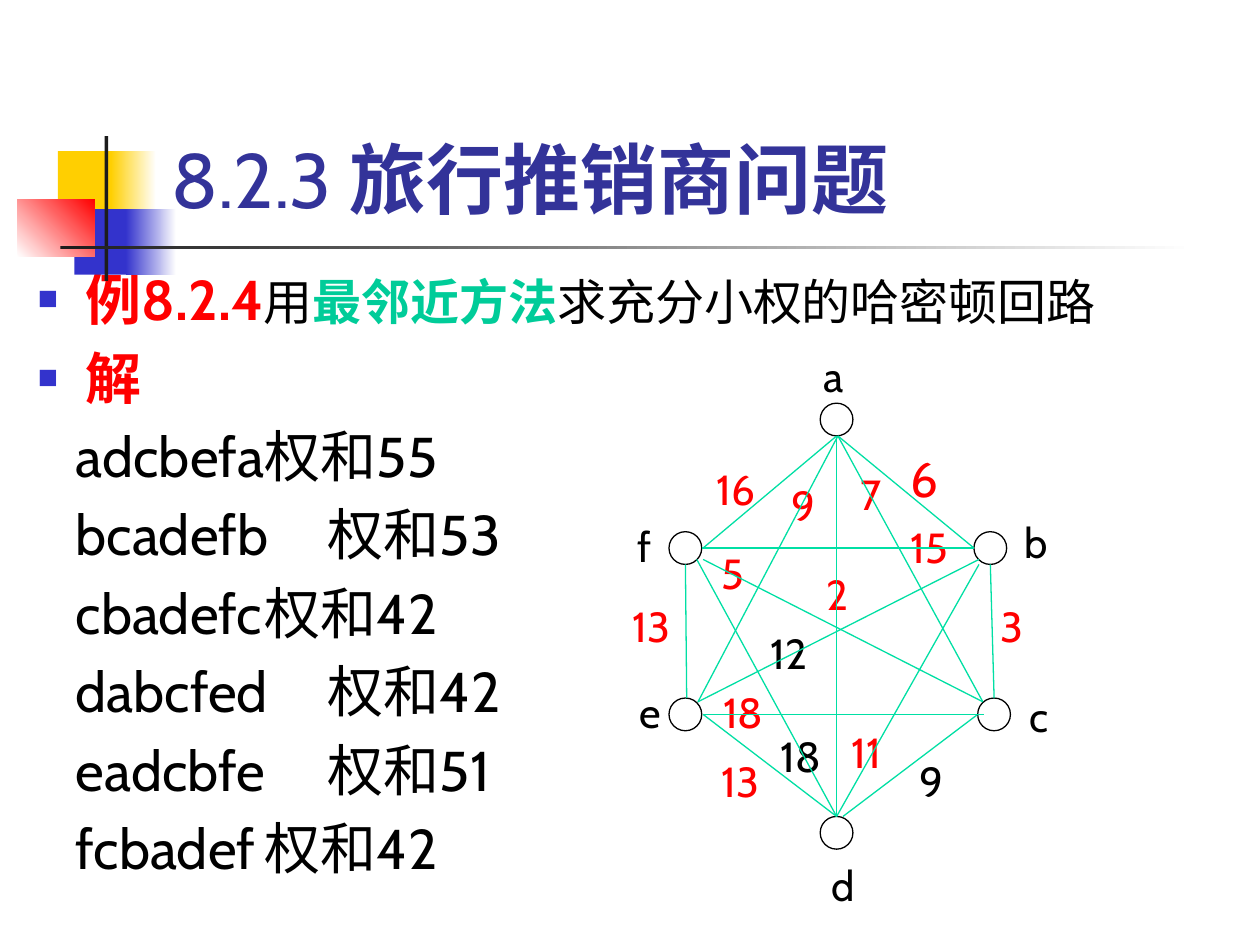
from lxml import etree
from pptx import Presentation
from pptx import util as u
from pptx.dml.color import RGBColor
from pptx.enum import shapes, text
from pptx.oxml import ns

Inches, Pt = u.Inches, u.Pt
FONT = "Cabin"
COLORS = {
    "yellow": "FFCF01", "blue": "3333CC", "red": "FF0000", "ink": "1C1C1C",
    "white": "FFFFFF", "black": "000000", "title": "333399",
    "green": "00CC99", "edge": "00DFA4",
}


def style(font, size, color, bold=False):
    font.name = FONT
    font.size = Pt(size)
    font.bold = bold
    font.color.rgb = RGBColor.from_string(COLORS[color])


def block(kind, left, top, width, height, fill, line=None):
    box = slide.shapes.add_shape(
        kind, Inches(left), Inches(top), Inches(width), Inches(height))
    box.shadow.inherit = False
    box.fill.solid()
    box.fill.fore_color.rgb = RGBColor.from_string(COLORS[fill])
    if line:
        box.line.color.rgb = RGBColor.from_string(COLORS[line])
        box.line.width = Pt(0.75)
    else:
        box.line.fill.background()
    return box


RECT, OVAL = shapes.MSO_SHAPE.RECTANGLE, shapes.MSO_SHAPE.OVAL
prs = Presentation()
prs.slide_width, prs.slide_height = Inches(10), Inches(7.5)
slide = prs.slides.add_slide(prs.slide_layouts[1])

ornaments = [
    (0.46, 1.2, 0.48, 0.52, "yellow", None, 0),
    (0.88, 1.2, 0.36, 0.52, "yellow", "white", 0),
    (0.59, 1.66, 0.46, 0.52, "blue", None, 0),
    (1, 1.66, 0.4, 0.52, "blue", "white", 0),
    (0.14, 1.58, 0.61, 0.46, "white", "red", 45),
    (0.83, 1.08, 0.03, 1.15, "ink", None, 0),
    (0.48, 1.95, 9, 0.03, "ink", "white", 0),
]
for left, top, width, height, start, end, angle in ornaments:
    ornament = block(RECT, left, top, width, height, start)
    if end:
        ornament.fill.gradient()
        ornament.fill.gradient_angle = angle
        for stop, color in zip(ornament.fill.gradient_stops, (start, end)):
            stop.color.rgb = RGBColor.from_string(COLORS[color])

title = slide.shapes.title
title.left, title.top, title.width, title.height = map(Inches, (1.26, 0.23, 8.52, 1.6))
title.text_frame.auto_size = text.MSO_AUTO_SIZE.NONE
title.text_frame.vertical_anchor = text.MSO_ANCHOR.BOTTOM
heading = title.text_frame.paragraphs[0]
heading.alignment = text.PP_ALIGN.LEFT
for words, bold in [("8.2.3 ", False), ("旅行推销商问题", True)]:
    run = heading.add_run()
    run.text = words
    style(run.font, 44, "title", bold)

solution = slide.placeholders[1]
solution.left, solution.top, solution.width, solution.height = map(
    Inches, (0.2, 2.05, 9.72, 5.48))
solution.text_frame.auto_size = text.MSO_AUTO_SIZE.NONE
steps = [
    [("例8.2.4", 32, "red", True), ("用", 28, "black", False),
     ("最邻近方法", 28, "green", True), ("求充分小权的哈密顿回路", 28, "black", False)],
    [("解", 32, "red", True)],
]
tours = {"adcbefa": 55, "bcadefb": 53, "cbadefc": 42,
         "dabcfed": 42, "eadcbfe": 51, "fcbadef": 42}
steps += [[(f"{tour}\t权和{total}", 32, "black", False)] for tour, total in tours.items()]
for i, step in enumerate(steps):
    line = solution.text_frame.paragraphs[0] if i == 0 else solution.text_frame.add_paragraph()
    line.space_before = Pt(6.4 if i else 0)
    props = line._p.get_or_add_pPr()
    if i < 2:
        props.set("marL", str(Inches(0.38)))
        props.set("indent", str(Inches(-0.38)))
        bullet_color = etree.SubElement(props, ns.qn("a:buClr"))
        etree.SubElement(bullet_color, ns.qn("a:srgbClr"), val=COLORS["blue"])
        etree.SubElement(props, ns.qn("a:buSzPct"), val="60000")
        etree.SubElement(props, ns.qn("a:buChar"), char="■")
    else:
        props.set("marL", str(Inches(0.3)))
        props.set("indent", "0")
        etree.SubElement(props, ns.qn("a:buNone"))
        tabs = etree.SubElement(props, ns.qn("a:tabLst"))
        etree.SubElement(tabs, ns.qn("a:tab"), pos=str(Inches(2.11)), algn="l")
    for words, size, color, bold in step:
        run = line.add_run()
        run.text = words
        style(run.font, size, color, bold)

weights = [
    ("13", 4.92, 4.72, 0.63, 0.44, "red"), ("13", 5.63, 5.95, 0.63, 0.44, "red"),
    ("3", 7.84, 4.72, 0.31, 0.44, "red"), ("9", 7.2, 5.95, 0.31, 0.44, "black"),
    ("11", 6.66, 5.72, 0.57, 0.44, "red"), ("18", 6.1, 5.75, 0.63, 0.44, "black"),
    ("12", 6.02, 4.93, 0.63, 0.44, "black"), ("18", 5.64, 5.4, 0.63, 0.44, "red"),
    ("15", 7.13, 4.09, 0.6, 0.44, "red"), ("5", 5.63, 4.3, 0.44, 0.47, "red"),
    ("6", 7.13, 3.51, 0.44, 0.47, "red"), ("2", 6.46, 4.46, 0.44, 0.47, "red"),
    ("16", 5.59, 3.63, 0.67, 0.51, "red"), ("9", 6.18, 3.76, 0.44, 0.47, "red"),
    ("7", 6.73, 3.67, 0.4, 0.43, "red"),
]
vertices = [(6.51, 3.2), (7.73, 4.22), (5.31, 4.22), (7.76, 5.54), (5.31, 5.54), (6.51, 6.48)]
edges = [
    (6.64, 3.46, 6.64, 6.48), (5.57, 4.35, 7.73, 4.35), (5.58, 5.67, 7.81, 5.67),
    (5.44, 4.48, 5.45, 5.54), (7.86, 4.48, 7.89, 5.54), (6.64, 3.46, 5.58, 4.35),
    (6.65, 3.46, 7.73, 4.35), (6.65, 3.46, 5.54, 5.57), (6.65, 3.46, 7.8, 5.57),
    (5.53, 4.44, 6.64, 6.48), (5.58, 4.44, 7.8, 5.57), (5.54, 5.57, 7.77, 4.44),
    (5.58, 5.67, 6.64, 6.48), (7.76, 5.67, 6.69, 6.48), (7.77, 4.48, 6.64, 6.48),
]
names = [("a", 6.44, 2.73), ("b", 8.03, 4.05), ("f", 4.96, 4.08),
         ("e", 4.98, 5.4), ("c", 8.07, 5.43), ("d", 6.5, 6.77)]
labels = weights + [(name, left, top, 0.31, 0.44, "black") for name, left, top in names]
for words, left, top, width, height, color in labels:
    label = block(RECT, left, top, width, height, "white", "white")
    label.text_frame.word_wrap = True
    label.text_frame.vertical_anchor = text.MSO_ANCHOR.TOP
    caption = label.text_frame.paragraphs[0]
    caption.text = words
    caption.alignment = text.PP_ALIGN.LEFT
    style(caption.font, 28 if words == "6" else 24, color)

for left, top in vertices:
    block(OVAL, left, top, 0.26, 0.26, "white", "black")

for ends in edges:
    edge = slide.shapes.add_connector(shapes.MSO_CONNECTOR.STRAIGHT, *map(Inches, ends))
    edge.line.color.rgb = RGBColor.from_string(COLORS["edge"])
    edge.line.width = Pt(0.75)
    etree.SubElement(edge._element.spPr, ns.qn("a:effectLst"))

prs.save("out.pptx")
